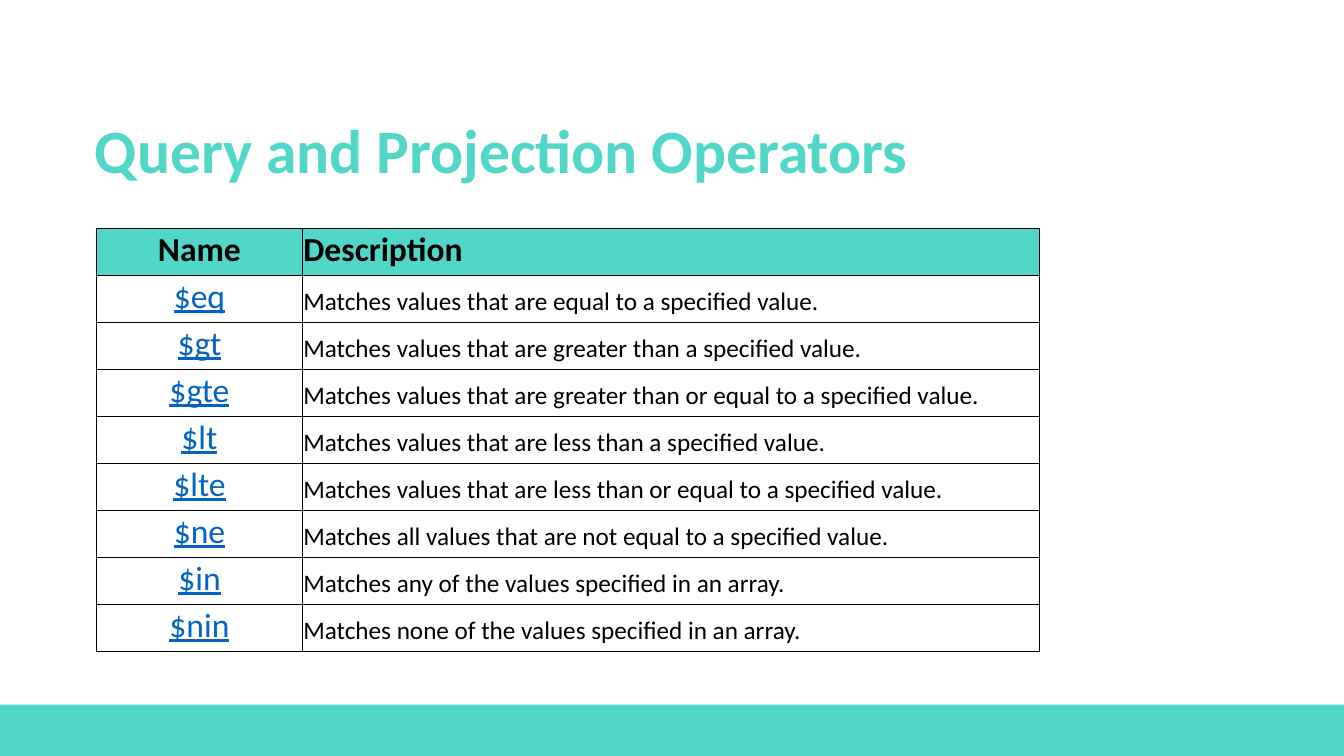
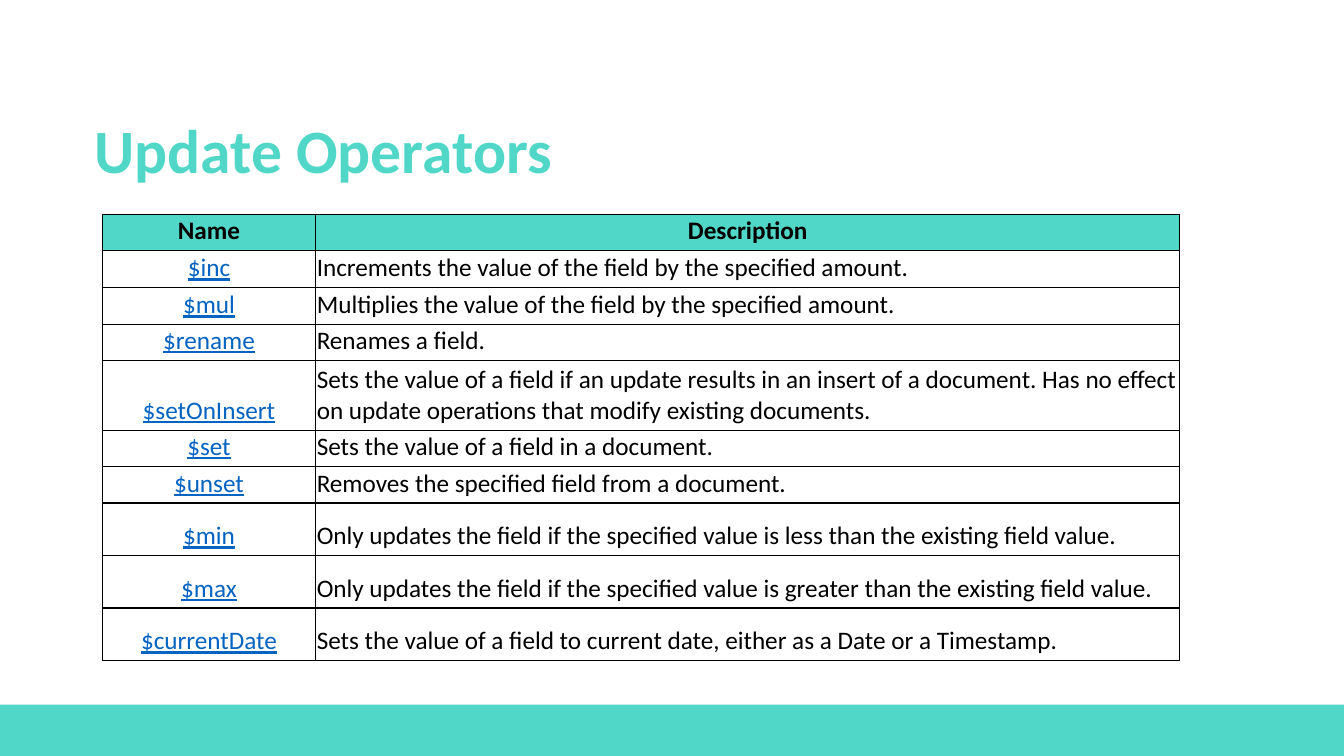
from lxml import etree
from pptx import Presentation
from pptx.dml.color import RGBColor
from pptx.enum import shapes, text
from pptx.oxml.ns import qn
from pptx.util import Pt

TEAL, BLACK, LINK = "50D7C8", "000000", "0563C1"
FONT = "Calibri"
LEFT, MID = text.PP_ALIGN.LEFT, text.PP_ALIGN.CENTER


def rgb(code):
    return RGBColor.from_string(code)


def border(cell):
    props = cell._tc.get_or_add_tcPr()
    for side in ("a:lnL", "a:lnR", "a:lnT", "a:lnB"):
        line = etree.SubElement(props, qn(side), w=str(Pt(1)))
        fill = etree.SubElement(line, qn("a:solidFill"))
        etree.SubElement(fill, qn("a:srgbClr"), val=BLACK)


# Content of each slide: the operators and the measures of their table
decks = [
    dict(
        title="Query and Projection Operators",
        at=(69, 163), cols=(147, 526.5), foot=3.6,
        head=LEFT, names=24,
        tall=[33.6] * 9,
        rows=[
            ("$eq", "Matches values that are equal to a specified value."),
            ("$gt", "Matches values that are greater than a specified value."),
            ("$gte", "Matches values that are greater than or equal to a specified value."),
            ("$lt", "Matches values that are less than a specified value."),
            ("$lte", "Matches values that are less than or equal to a specified value."),
            ("$ne", "Matches all values that are not equal to a specified value."),
            ("$in", "Matches any of the values specified in an array."),
            ("$nin", "Matches none of the values specified in an array."),
        ],
    ),
    dict(
        title="Update Operators",
        at=(73, 153.4), cols=(152.6, 617), foot=2.9,
        head=MID, names=18,
        tall=[25.6, 26.4, 26.4, 25.6, 50, 25.6, 26.4] + [37.5] * 3,
        rows=[
            ("$inc", "Increments the value of the field by the specified amount."),
            ("$mul", "Multiplies the value of the field by the specified amount."),
            ("$rename", "Renames a field."),
            ("$setOnInsert", "Sets the value of a field if an update results in an insert of a "
             "document. Has no effect on update operations that modify existing documents."),
            ("$set", "Sets the value of a field in a document."),
            ("$unset", "Removes the specified field from a document."),
            ("$min", "Only updates the field if the specified value is less than "
             "the existing field value."),
            ("$max", "Only updates the field if the specified value is greater than "
             "the existing field value."),
            ("$currentDate", "Sets the value of a field to current date, either as a Date "
             "or a Timestamp."),
        ],
    ),
]

prs = Presentation()
prs.slide_width, prs.slide_height = Pt(960), Pt(540)

# Shared title place
layout = prs.slide_layouts[5]
spot = layout.placeholders[0]
spot.left, spot.top, spot.width, spot.height = Pt(60.5), Pt(57.6), Pt(782.5), Pt(103.7)

for deck in decks:
    slide = prs.slides.add_slide(layout)

    # Title
    title = slide.shapes.title
    title.text = deck["title"]
    title.text_frame.vertical_anchor = text.MSO_ANCHOR.MIDDLE
    para = title.text_frame.paragraphs[0]
    para.alignment, para.line_spacing = LEFT, 0.9
    para.font.name, para.font.size, para.font.bold = FONT, Pt(44), True
    para.font.color.rgb = rgb(TEAL)

    # Table
    rows = [("Name", "Description")] + deck["rows"]
    left, top = deck["at"]
    table = slide.shapes.add_table(
        len(rows), 2, Pt(left), Pt(top),
        Pt(sum(deck["cols"])), Pt(sum(deck["tall"]))).table
    table.first_row = table.horz_banding = False
    for col, width in zip(table.columns, deck["cols"]):
        col.width = Pt(width)
    for r, (row, tall) in enumerate(zip(rows, deck["tall"])):
        table.rows[r].height = Pt(tall)
        for c, words in enumerate(row):
            cell = table.cell(r, c)
            cell.text = words
            cell.vertical_anchor = text.MSO_ANCHOR.BOTTOM
            cell.margin_left = cell.margin_right = cell.margin_top = Pt(0.7)
            cell.margin_bottom = Pt(deck["foot"])
            border(cell)
            para = cell.text_frame.paragraphs[0]
            font = para.font
            font.name, font.bold = FONT, r == 0
            font.size = Pt(18 if r and c else deck["names"])
            para.alignment = MID if c == 0 else LEFT
            font.color.rgb = rgb(BLACK)
            if r == 0:
                para.alignment = MID if c == 0 else deck["head"]
                cell.fill.solid()
                cell.fill.fore_color.rgb = rgb(TEAL)
            else:
                cell.fill.background()
                if c == 0:
                    font.underline = True
                    font.color.rgb = rgb(LINK)

# Bottom band, moved from the last slide to the layout that all slides share
band = slide.shapes.add_shape(
    shapes.MSO_SHAPE.RECTANGLE, 0, Pt(503.3), Pt(960), Pt(36.7))
band.shadow.inherit = False
band.fill.solid()
band.fill.fore_color.rgb = rgb(TEAL)
band.line.fill.background()
layout.shapes._spTree.insert(2, band._element)

prs.save("out.pptx")
